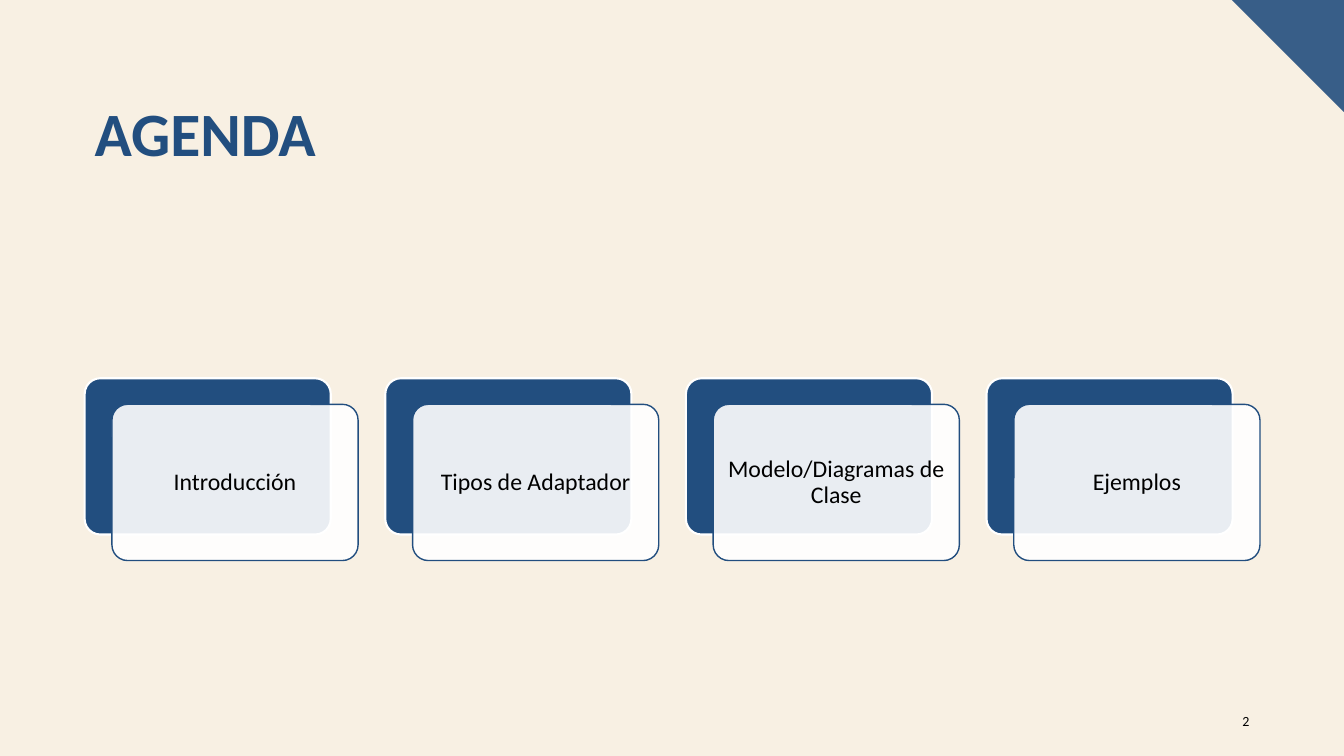
import dataclasses
import pptx
import pptx.util
import pptx.dml.color
import pptx.enum.shapes
import pptx.enum.text
import pptx.oxml.ns
import lxml.etree

Pt = pptx.util.Pt
Align = pptx.enum.text.PP_ALIGN
Anchor = pptx.enum.text.MSO_ANCHOR


@dataclasses.dataclass(frozen=True)
class Theme:
    """Colours, font and type sizes of the slide."""
    cream: str = "F8F0E3"
    blue: str = "224E7F"
    steel: str = "385E88"
    white: str = "FFFFFF"
    black: str = "000000"
    font: str = "Calibri"
    head: int = 44
    body: int = 17
    small: int = 10


theme = Theme()


def paint(fill, color):
    """Give a fill one solid colour."""
    fill.solid()
    fill.fore_color.rgb = pptx.dml.color.RGBColor.from_string(color)


def write(slide, box, words, size, color, bold=False, align=Align.LEFT,
          anchor=Anchor.TOP, inset=(7.2, 3.6), space=None, after=0):
    """Write one paragraph in a text box."""
    frame = slide.shapes.add_textbox(*map(Pt, box)).text_frame
    frame.word_wrap = True
    frame.vertical_anchor = anchor
    frame.margin_left = frame.margin_right = Pt(inset[0])
    frame.margin_top = frame.margin_bottom = Pt(inset[1])
    para = frame.paragraphs[0]
    para.alignment = align
    para.line_spacing = space
    para.space_after = Pt(after)
    run = para.add_run()
    run.text = words
    run.font.name = theme.font
    run.font.size = Pt(size)
    run.font.bold = bold
    run.font.color.rgb = pptx.dml.color.RGBColor.from_string(color)


def corner(slide, box):
    """Draw the triangle in the upper right corner of the box."""
    left, top, width, height = box
    right = left + width
    form = slide.shapes.build_freeform(Pt(left), Pt(top))
    form.add_line_segments([(Pt(right), Pt(top)),
                            (Pt(right), Pt(top + height))], close=True)
    shape = form.convert_to_shape()
    shape.shadow.inherit = False
    paint(shape.fill, theme.steel)
    shape.line.fill.background()


def panel(slide, box, fill, line, weight):
    """Draw one rounded panel and return it."""
    kind = pptx.enum.shapes.MSO_SHAPE.ROUNDED_RECTANGLE
    shape = slide.shapes.add_shape(kind, *map(Pt, box))
    shape.adjustments[0] = 0.1
    shape.shadow.inherit = False
    paint(shape.fill, fill)
    paint(shape.line.fill, line)
    shape.line.width = Pt(weight)
    return shape


def card(slide, box, words):
    """Draw a blue panel, a clear panel shifted over it, and its label."""
    left, top, width, height = box
    panel(slide, box, theme.blue, theme.white, 1.5)
    left, top = left + 19.5, top + 18.6
    front = panel(slide, (left, top, width, height),
                  theme.white, theme.blue, 1)
    tint = front.fill._xPr.find(".//" + pptx.oxml.ns.qn("a:srgbClr"))
    lxml.etree.SubElement(tint, pptx.oxml.ns.qn("a:alpha"), val="90000")
    pad = 3.2
    write(slide, (left + pad, top + pad, width - 2 * pad, height - 2 * pad),
          words, theme.body, theme.black, align=Align.CENTER,
          anchor=Anchor.MIDDLE, inset=(5, 5), space=0.9, after=6)


def cards(slide, box, names):
    """Lay the cards out in a row at an equal pitch."""
    left, top, width, height = box
    size, tall = 175.8, 111.6
    step = (width - size - 19.5) / (len(names) - 1)
    for spot, name in enumerate(names):
        card(slide, (left + spot * step, top, size, tall), name)


def main():
    """Build the agenda slide and save it."""
    deck = pptx.Presentation()
    deck.slide_width, deck.slide_height = Pt(960), Pt(540)
    slide = deck.slides.add_slide(deck.slide_layouts[6])
    paint(slide.background.fill, theme.cream)
    corner(slide, (880, 0, 80, 80))
    write(slide, (60.5, 70.5, 839.5, 104.5), "AGENDA", theme.head,
          theme.blue, bold=True, space=0.9)
    write(slide, (863.5, 500.5, 36, 28.8), "2", theme.small, theme.black,
          align=Align.RIGHT, anchor=Anchor.MIDDLE, after=6)
    cards(slide, (60.5, 270.2, 839.5, 130.2),
          ["Introducción", "Tipos de Adaptador",
           "Modelo/Diagramas de Clase", "Ejemplos"])
    deck.save("out.pptx")


if __name__ == "__main__":
    main()
